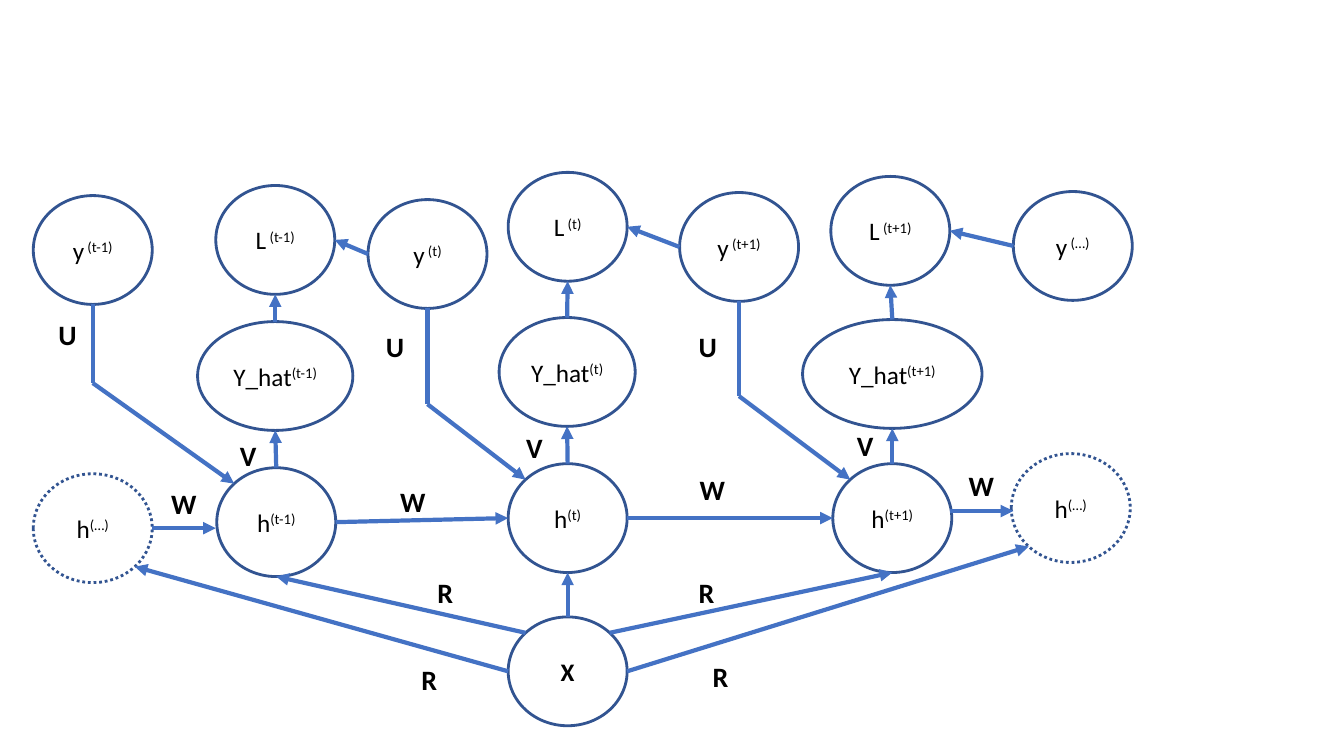
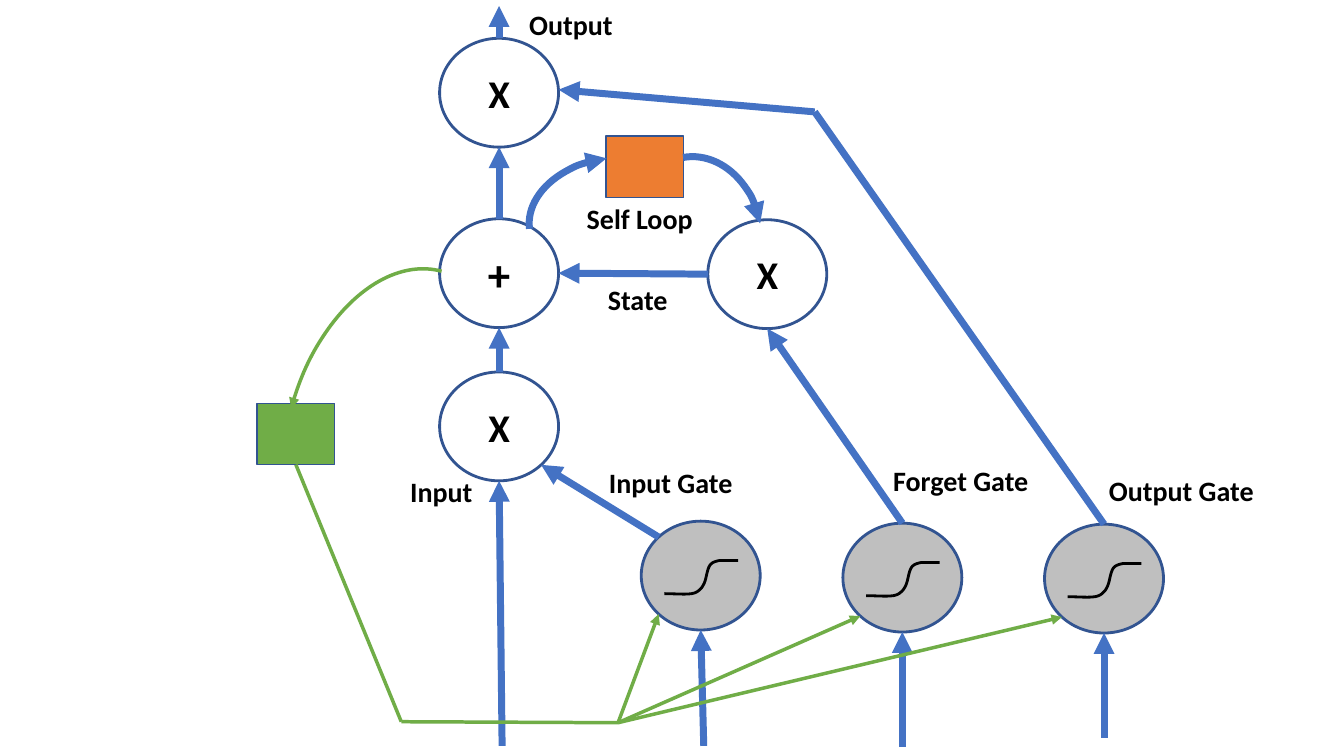
from dataclasses import dataclass
from math import sqrt

from lxml.etree import SubElement
from pptx import Presentation
from pptx.dml.color import RGBColor
from pptx.enum.dml import MSO_LINE
from pptx.enum.shapes import MSO_CONNECTOR, MSO_SHAPE
from pptx.enum.text import MSO_ANCHOR, MSO_AUTO_SIZE, PP_ALIGN
from pptx.oxml.ns import qn
from pptx.util import Inches, Pt


@dataclass(frozen=True)
class Theme:
    font: str = "Calibri"
    ink: str = "000000"
    edge: str = "325491"
    blue: str = "4472C4"
    green: str = "70AD47"
    orange: str = "ED7D31"
    gray: str = "BFBFBF"
    node: int = 18
    label: int = 20
    sign: int = 28
    plus: int = 32
    thin: float = 1
    rim: float = 2
    feed: float = 2.5
    flow: float = 3
    bold: float = 5


T = Theme()
WIDE, HIGH = 1.18, 1.08

# Unrolled network: name, left, top, width, text, superscript
STATES = [
    ("hat0", 1.96, 3.19, 1.54, "Y_hat", "(t-1)"),
    ("hat1", 4.95, 3.15, 1.35, "Y_hat", "(t)"),
    ("hat2", 7.96, 3.17, 1.78, "Y_hat", "(t+1)"),
    ("h0", 2.15, 4.64, WIDE, "h", "(t-1)"),
    ("h1", 5.04, 4.6, WIDE, "h", "(t)"),
    ("h2", 8.26, 4.6, WIDE, "h", "(t+1)"),
    ("loss0", 2.14, 1.84, WIDE, "L", " (t-1)"),
    ("loss1", 5.04, 1.71, WIDE, "L", " (t)"),
    ("loss2", 8.24, 1.75, WIDE, "L", " (t+1)"),
    ("y0", 0.33, 1.94, WIDE, "y", " (t-1)"),
    ("y1", 3.65, 1.98, WIDE, "y", " (t)"),
    ("y2", 6.74, 1.91, WIDE, "y", " (t+1)"),
    ("y3", 10.05, 1.9, WIDE, "y", " (…)"),
]
ENDS = [("past", 0.33, 4.7), ("next", 10.03, 4.5)]
ELBOWS = [(0.92, 3.8), (4.24, 4.01), (7.33, 3.93)]
LINKS = [
    ("past.r", (2.14, 5.24)), ("h0.r", "h1.l"), ("h1.r", "h2.l"),
    ((9.42, 5.07), (10.05, 5.07)),
    ("x.l", "past.br"), ("x.tl", "h0.b"), ("x.t", "h1.b"),
    ("x.tr", "h2.b"), ("x.r", "next.bl"),
]
WEIGHTS = {
    "U": (0.37, [(0.48, 3.1), (3.73, 3.22), (6.83, 3.22)]),
    "V": (0.37, [(2.28, 4.3), (5.12, 4.22), (8.4, 4.2)]),
    "W": (0.46, [(1.6, 4.78), (3.87, 4.76), (6.84, 4.64), (9.51, 4.6)]),
    "R": (0.38, [(4.08, 6.52), (4.24, 5.66), (6.83, 5.66), (6.97, 6.49)]),
}

# Gated cell: name, left, top, sign, size
SIGNS = [
    ("out", 4.36, 0.38, "X", T.sign), ("sum", 4.36, 2.17, "+", T.plus),
    ("in", 4.36, 3.69, "X", T.sign), ("keep", 7.02, 2.18, "X", T.sign),
]
GATES = [("gate0", 6.36, 5.17), ("gate1", 8.36, 5.19), ("gate2", 10.36, 5.2)]
# Sigmoid as Bezier points, measured from the gate's corner
CURVE = [
    (0.23, 0.72), (0.33, 0.72), (0.44, 0.73), (0.5, 0.72),
    (0.56, 0.71), (0.58, 0.68), (0.6, 0.66),
    (0.62, 0.63), (0.63, 0.61), (0.64, 0.57),
    (0.65, 0.53), (0.66, 0.47), (0.68, 0.44),
    (0.7, 0.41), (0.73, 0.4), (0.78, 0.39),
    (0.82, 0.39), (0.89, 0.39), (0.96, 0.39),
]
FLOWS = [
    ("sum.t", "out.b"), ("in.t", "sum.b"), ("keep.l", "sum.r"),
    ("gate0.tl", "in.br"), ("gate1.t", "keep.b"),
    ((8.08, 1.11), (5.54, 0.89)), ("out.t", (4.95, 0.06)),
    ((4.98, 7.4), "in.b"), ((6.98, 7.4), "gate0.b"),
    ((8.95, 7.41), "gate1.b"), ((10.95, 7.32), "gate2.b"),
]
# left, top, width, height, turn, flipped, colour, weight
ARCS = [
    (5.49, 1.32, 1.2, 1.69, 262.9, False, T.blue, T.bold),
    (6.28, 1.55, 1.27, 1.56, 349.7, False, T.blue, T.bold),
    (2.85, 2.63, 2.16, 3.41, 15.3, True, T.green, T.feed),
]
TURN, FORK = (3.98, 7.16), (6.13, 7.17)
NOTES = [
    ("Output", 5.15, 0.03, 3.05, PP_ALIGN.LEFT),
    ("Self Loop", 5.37, 1.95, 1.95, PP_ALIGN.CENTER),
    ("State", 5.35, 2.75, 1.95, PP_ALIGN.CENTER),
    ("Input", 3.97, 4.66, 0.93, PP_ALIGN.LEFT),
    ("Input Gate", 5.94, 4.57, 3.05, PP_ALIGN.LEFT),
    ("Forget Gate", 8.76, 4.55, 3.05, PP_ALIGN.LEFT),
    ("Output Gate", 10.9, 4.65, 1.87, PP_ALIGN.LEFT),
]


def box(*sides):
    return [Inches(side) for side in sides]


def style(run, size, bold):
    run.font.name = T.font
    run.font.size = Pt(size)
    run.font.bold = bold
    run.font.color.rgb = RGBColor.from_string(T.ink)


def stroke(shape, color, width, arrow=False):
    shape.line.color.rgb = RGBColor.from_string(color)
    shape.line.width = Pt(width)
    if arrow:
        line = shape.element.spPr.find(qn("a:ln"))
        SubElement(line, qn("a:tailEnd"), type="triangle")


def form(shapes, kind, place, fill=None, color=T.edge, width=T.rim, arrow=False):
    """Add a preset shape, unfilled unless a fill is given."""
    shape = shapes.add_shape(kind, *box(*place))
    shape.shadow.inherit = False
    if fill:
        shape.fill.solid()
        shape.fill.fore_color.rgb = RGBColor.from_string(fill)
    else:
        shape.fill.background()
    stroke(shape, color, width, arrow)
    return shape


def node(shapes, place, text, size, sup="", bold=False):
    """Add an ellipse with a centred sign and optional superscript."""
    shape = form(shapes, MSO_SHAPE.OVAL, place)
    frame = shape.text_frame
    frame.margin_left = frame.margin_right = 0
    frame.vertical_anchor = MSO_ANCHOR.MIDDLE
    para = frame.paragraphs[0]
    para.text = text
    para.alignment = PP_ALIGN.CENTER
    if sup:
        run = para.add_run()
        run.text = sup
        run._r.get_or_add_rPr().set("baseline", "30000")
    for run in para.runs:
        style(run, size, bold)
    return shape


def label(shapes, text, left, top, width, align=PP_ALIGN.LEFT):
    frame = shapes.add_textbox(*box(left, top, width, 0.44)).text_frame
    frame.word_wrap = True
    frame.auto_size = MSO_AUTO_SIZE.SHAPE_TO_FIT_TEXT
    para = frame.paragraphs[0]
    para.text = text
    para.alignment = align
    style(para.runs[0], T.label, True)


def spot(nodes, end):
    """Resolve a point in inches, or 'name.site' on an ellipse's rim."""
    if isinstance(end, tuple):
        return box(*end)
    name, site = end.split(".")
    shape = nodes[name]
    reach = 0.5 / sqrt(len(site))
    across = ("r" in site) - ("l" in site)
    down = ("b" in site) - ("t" in site)
    return (int(shape.left + shape.width * (0.5 + reach * across)),
            int(shape.top + shape.height * (0.5 + reach * down)))


def link(shapes, nodes, start, end, color, width, arrow=True):
    line = shapes.add_connector(
        MSO_CONNECTOR.STRAIGHT, *spot(nodes, start), *spot(nodes, end))
    stroke(line, color, width, arrow)
    SubElement(line.element.spPr, qn("a:effectLst"))
    return line


def trace(points, steps=6):
    """Sample a chain of cubic Bezier curves."""
    for k in range(0, len(points) - 1, 3):
        for step in range(1, steps + 1):
            t = step / steps
            mix = ((1 - t) ** 3, 3 * t * (1 - t) ** 2, 3 * t * t * (1 - t), t ** 3)
            yield tuple(sum(m * p[axis] for m, p in zip(mix, points[k:k + 4]))
                        for axis in (0, 1))


def gate(shapes, left, top):
    parts = shapes.add_group_shape().shapes
    oval = form(parts, MSO_SHAPE.OVAL, (left, top, WIDE, HIGH), T.gray)
    path = [(left + x, top + y) for x, y in CURVE]
    pen = parts.build_freeform(*box(*path[0]))
    pen.add_line_segments([box(*point) for point in trace(path)], close=False)
    curve = pen.convert_to_shape()
    curve.shadow.inherit = False
    curve.fill.background()
    stroke(curve, T.ink, T.rim)
    return oval


def unrolled(shapes):
    nodes = {name: node(shapes, (x, y, w, HIGH), text, T.node, sup)
             for name, x, y, w, text, sup in STATES}
    for name, x, y in ENDS:
        nodes[name] = node(shapes, (x, y, WIDE, HIGH), "h", T.node, "(…)")
        nodes[name].line.dash_style = MSO_LINE.ROUND_DOT
    nodes["x"] = node(shapes, (5.04, 6.12, WIDE, HIGH), "X", T.node, bold=True)
    links = list(LINKS)
    for k, elbow in enumerate(ELBOWS):
        links += [(f"h{k}.t", f"hat{k}.b"), (f"hat{k}.t", f"loss{k}.b"),
                  (f"y{k + 1}.l", f"loss{k}.r"), (elbow, f"h{k}.tl")]
        link(shapes, nodes, f"y{k}.b", elbow, T.blue, T.flow, False)
    for start, end in links:
        link(shapes, nodes, start, end, T.blue, T.flow)
    for text, (width, places) in WEIGHTS.items():
        for x, y in places:
            label(shapes, text, x, y, width)


def cell(shapes):
    nodes = {name: node(shapes, (x, y, WIDE, HIGH), text, size, bold=True)
             for name, x, y, text, size in SIGNS}
    nodes.update((name, gate(shapes, x, y)) for name, x, y in GATES)
    form(shapes, MSO_SHAPE.RECTANGLE, (6.01, 1.35, 0.77, 0.61), T.orange, width=T.thin)
    delay = form(shapes, MSO_SHAPE.RECTANGLE, (2.55, 4, 0.77, 0.61), T.green,
                 width=T.thin)
    for *place, turn, flip, color, width in ARCS:
        arc = form(shapes, MSO_SHAPE.ARC, place, None, color, width, True)
        arc.rotation = turn
        if flip:
            arc.element.spPr.find(qn("a:xfrm")).set("flipH", "1")
    for start, end in FLOWS:
        link(shapes, nodes, start, end, T.blue, T.bold)
    link(shapes, nodes, (8.08, 1.11), "gate2.t", T.blue, T.bold, False)
    feed = link(shapes, nodes, (2.94, 4.61), TURN, T.green, T.feed, False)
    feed.begin_connect(delay, 2)
    link(shapes, nodes, TURN, FORK, T.green, T.feed, False)
    for name, *_ in GATES:
        link(shapes, nodes, FORK, f"{name}.bl", T.green, T.feed)
    for note in NOTES:
        label(shapes, *note)


def main():
    deck = Presentation()
    deck.slide_width, deck.slide_height = box(13.33, 7.5)
    for draw in (unrolled, cell):
        draw(deck.slides.add_slide(deck.slide_layouts[6]).shapes)
    deck.save("out.pptx")


if __name__ == "__main__":
    main()
